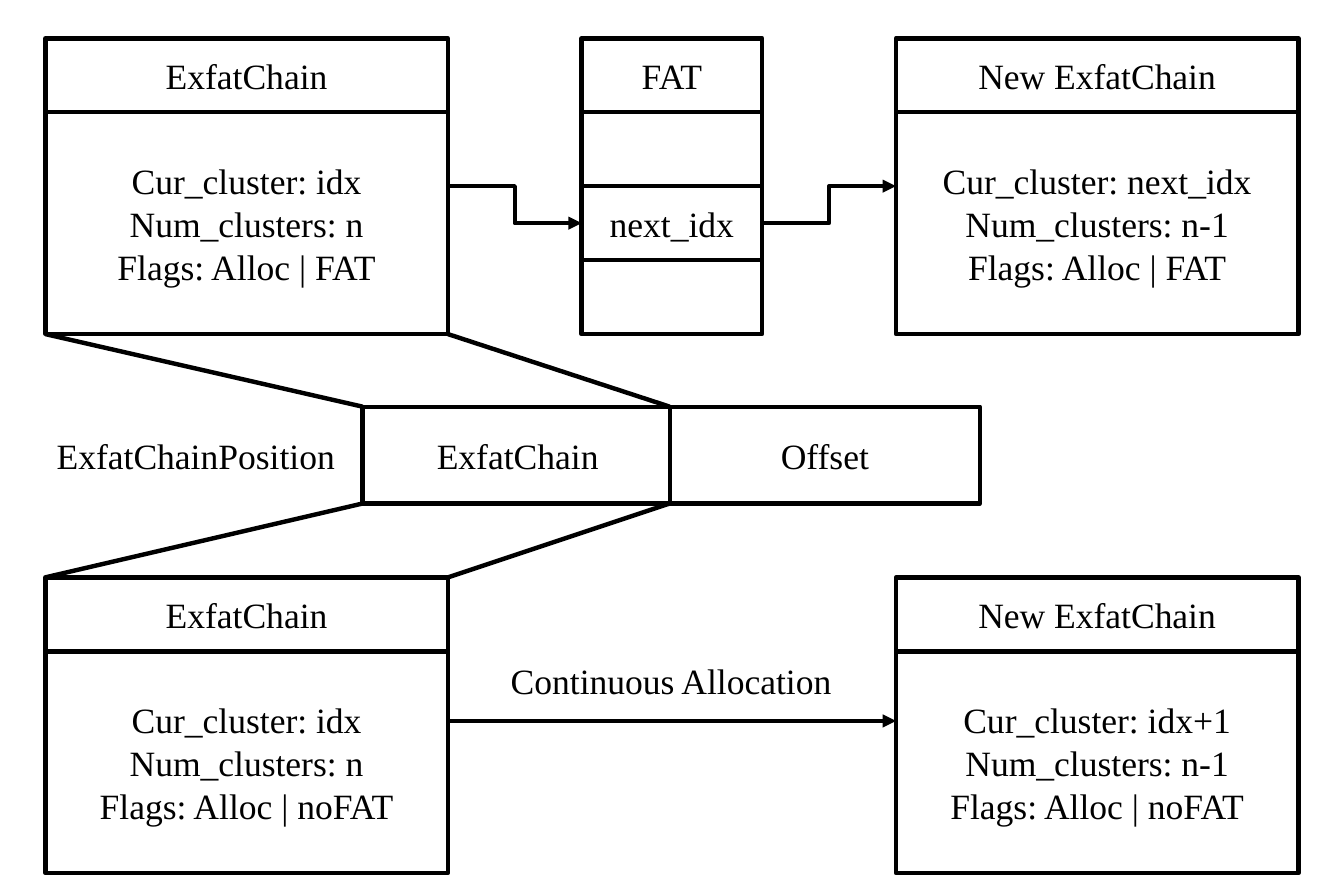
"""Draw how an exFAT cluster chain advances with and without the FAT."""
from lxml import etree
from pptx import Presentation
from pptx import util as u
from pptx.dml.color import RGBColor
from pptx.enum import shapes, text
from pptx.oxml import ns

BLACK = RGBColor(0, 0, 0)
WHITE = RGBColor(255, 255, 255)

ROW = 37.44
CHAIN_WIDTH = 203.8
LEFT, RIGHT = 23, 453.6
CHAIN_EDGE = LEFT + CHAIN_WIDTH
TOP, BOTTOM = 19.4, 292.3
FAT_LEFT, FAT_WIDTH = 294.5, 91.4
POSITION_LEFT, POSITION_TOP = 183.6, 205.9
POSITION_WIDTH, POSITION_HEIGHT = 157, 49
OFFSET_LEFT = 339.1
ALLOCATION_Y = 365


class Diagram:
    font_format = {"name": "Times New Roman", "size": u.Pt(18)}
    frame_format = {"word_wrap": True}
    line_width = u.Pt(2.25)

    def __init__(self, slide):
        self.slide = slide

    def set_text(self, shape, lines, anchor, alignment):
        frame = shape.text_frame
        for name, value in {**self.frame_format, "vertical_anchor": anchor}.items():
            setattr(frame, name, value)
        frame.text = "\n".join(lines)
        for paragraph in frame.paragraphs:
            paragraph.alignment = alignment
            for name, value in self.font_format.items():
                setattr(paragraph.font, name, value)
            paragraph.font.color.rgb = BLACK

    def outline(self, shape):
        shape.line.width = self.line_width
        shape.line.color.rgb = BLACK

    def box(self, left, top, width, height, *lines, fill=None):
        shape = self.slide.shapes.add_shape(
            shapes.MSO_SHAPE.RECTANGLE, *map(u.Pt, (left, top, width, height)))
        shape.shadow.inherit = False
        if fill is None:
            shape.fill.background()
        else:
            shape.fill.solid()
            shape.fill.fore_color.rgb = fill
        self.outline(shape)
        if lines:
            self.set_text(shape, lines, text.MSO_ANCHOR.MIDDLE, text.PP_ALIGN.CENTER)

    def chain(self, left, top, title, *fields):
        self.box(left, top, CHAIN_WIDTH, ROW, title)
        self.box(left, top + ROW, CHAIN_WIDTH, 3 * ROW, *fields)

    def label(self, left, top, width, words, alignment):
        shape = self.slide.shapes.add_textbox(*map(u.Pt, (left, top, width, 29)))
        self.set_text(shape, [words], text.MSO_ANCHOR.TOP, alignment)

    def link(self, start, end, kind=shapes.MSO_CONNECTOR.STRAIGHT, arrow=False):
        connector = self.slide.shapes.add_connector(kind, *map(u.Pt, start + end))
        self.outline(connector)
        properties = connector._element.spPr
        if arrow:
            line = properties.find(ns.qn("a:ln"))
            etree.SubElement(line, ns.qn("a:tailEnd"), type="triangle")
        etree.SubElement(properties, ns.qn("a:effectLst"))


def main():
    presentation = Presentation()
    presentation.slide_width = u.Pt(680.4)
    presentation.slide_height = u.Pt(453.6)
    diagram = Diagram(presentation.slides.add_slide(presentation.slide_layouts[6]))

    chains = [
        (LEFT, TOP, "ExfatChain", "idx", "n", "FAT"),
        (RIGHT, TOP, "New ExfatChain", "next_idx", "n-1", "FAT"),
        (LEFT, BOTTOM, "ExfatChain", "idx", "n", "noFAT"),
        (RIGHT, BOTTOM, "New ExfatChain", "idx+1", "n-1", "noFAT"),
    ]
    for left, top, title, cluster, count, flag in chains:
        diagram.chain(left, top, title, f"Cur_cluster: {cluster}",
                      f"Num_clusters: {count}", f"Flags: Alloc | {flag}")

    for row, entry in enumerate(["FAT", "", "next_idx", ""]):
        diagram.box(FAT_LEFT, TOP + row * ROW, FAT_WIDTH, ROW,
                    *filter(None, [entry]), fill=WHITE)

    chain_y, entry_y = TOP + 2 * ROW, TOP + 2.5 * ROW
    elbow = shapes.MSO_CONNECTOR.ELBOW
    diagram.link((CHAIN_EDGE, chain_y), (FAT_LEFT, entry_y), elbow, arrow=True)
    diagram.link((FAT_LEFT + FAT_WIDTH, entry_y), (RIGHT, chain_y), elbow, arrow=True)

    diagram.label(21.6, 216, 162, "ExfatChainPosition", text.PP_ALIGN.LEFT)
    for left, part in [(POSITION_LEFT, "ExfatChain"), (OFFSET_LEFT, "Offset")]:
        diagram.box(left, POSITION_TOP, POSITION_WIDTH, POSITION_HEIGHT, part, fill=WHITE)

    for position_x, chain_x in [(POSITION_LEFT, LEFT), (OFFSET_LEFT, CHAIN_EDGE)]:
        diagram.link((position_x, POSITION_TOP), (chain_x, TOP + 4 * ROW))
        diagram.link((position_x, POSITION_TOP + POSITION_HEIGHT), (chain_x, BOTTOM))

    diagram.link((CHAIN_EDGE, ALLOCATION_Y), (RIGHT, ALLOCATION_Y), arrow=True)
    diagram.label(244.8, 329.8, 190, "Continuous Allocation", text.PP_ALIGN.CENTER)
    presentation.save("out.pptx")


if __name__ == "__main__":
    main()
